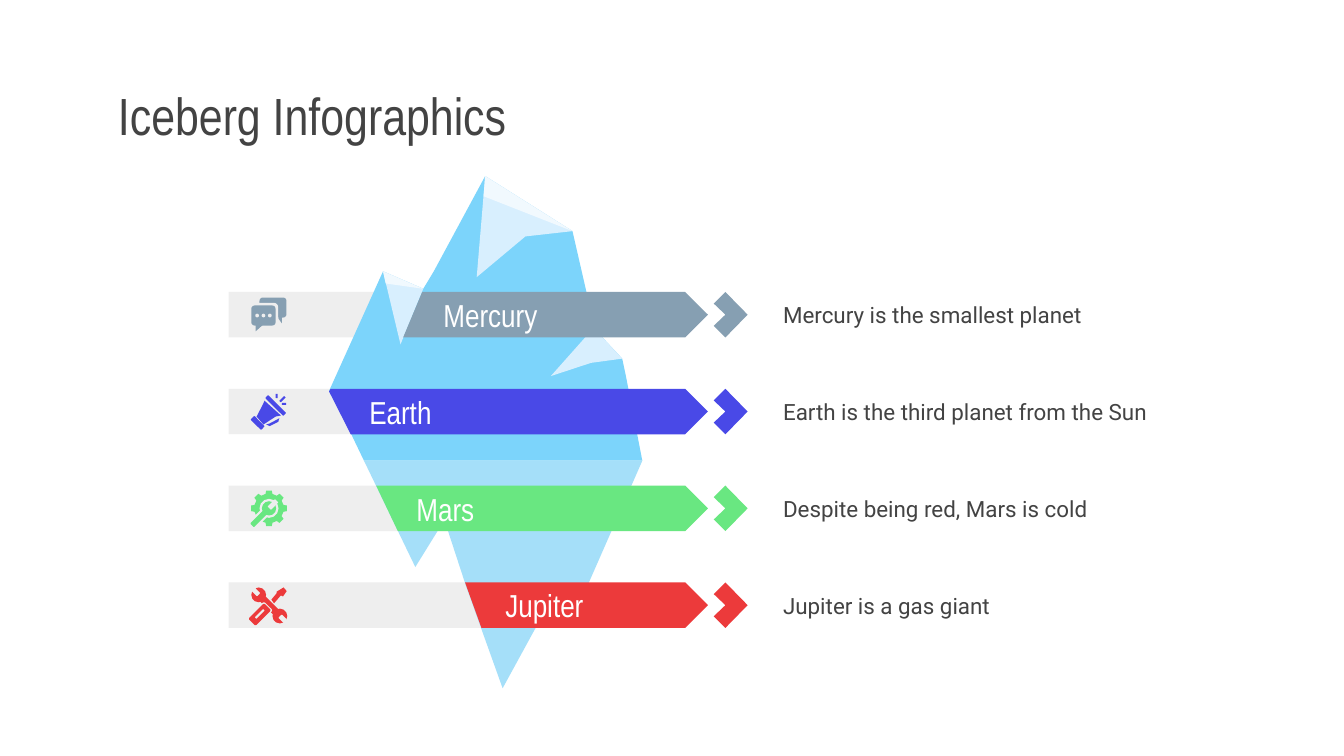
from math import cos, pi, sin

from pptx import Presentation
from pptx.dml.color import RGBColor
from pptx.enum.shapes import MSO_SHAPE
from pptx.enum.text import MSO_ANCHOR, MSO_AUTO_SIZE, PP_ALIGN
from pptx.util import Cm, Pt

RECT, ROUND, OVAL = MSO_SHAPE.RECTANGLE, MSO_SHAPE.ROUNDED_RECTANGLE, MSO_SHAPE.OVAL
LEFT, MIDDLE, NO_FIT = PP_ALIGN.LEFT, MSO_ANCHOR.MIDDLE, MSO_AUTO_SIZE.NONE
HEADING_FONT, BODY_FONT = "Arial Narrow", "Roboto"
DARK, WHITE, TRACK = "434343", "FFFFFF", "EEEEEE"
ROW_LEFT, ROW_TOP, ROW_STEP, ROW_HEIGHT = 4.32, 5.52, 1.83, 0.86
ICON_SIZE = 0.67


def color_of(value):
    return RGBColor.from_string(value)


def paint(shape, color):
    shape.fill.solid()
    shape.fill.fore_color.rgb = color_of(color)
    shape.line.fill.background()
    shape.shadow.inherit = False
    return shape


def outline(page, left, top, points, color):
    corners = [(Cm(left + x), Cm(top + y)) for x, y in points]
    builder = page.shapes.build_freeform(*corners[0])
    builder.add_line_segments(corners[1:], close=True)
    return paint(builder.convert_to_shape(), color)


def piece(page, kind, center_x, center_y, width, height, color, turn=0):
    shape = page.shapes.add_shape(kind, Cm(center_x - width / 2), Cm(center_y - height / 2),
                                  Cm(width), Cm(height))
    shape.rotation = turn
    return paint(shape, color)


def write(box, text, size, font=HEADING_FONT, color=DARK, indent=0.25):
    frame = box.text_frame
    frame.word_wrap = True
    frame.auto_size = NO_FIT
    frame.vertical_anchor = MIDDLE
    frame.margin_left = Cm(indent)
    frame.margin_top = frame.margin_right = frame.margin_bottom = Cm(0.25)
    para = frame.paragraphs[0]
    para.alignment = LEFT
    span = para.add_run()
    span.text = text
    span.font.size = Pt(size)
    span.font.name = font
    span.font.color.rgb = color_of(color)


def draw_chat(page, left, top, color):
    piece(page, ROUND, left + 0.41, top + 0.2, 0.51, 0.38, color)
    outline(page, left, top, [(0.5, 0.35), (0.5, 0.39), (0.58, 0.5), (0.58, 0.35)], color)
    piece(page, ROUND, left + 0.23, top + 0.35, 0.56, 0.48, TRACK)
    piece(page, ROUND, left + 0.23, top + 0.35, 0.46, 0.38, color)
    outline(page, left, top, [(0.08, 0.5), (0.08, 0.65), (0.25, 0.5)], color)
    for column in range(3):
        piece(page, OVAL, left + 0.11 + 0.12 * column, top + 0.35, 0.07, 0.07, TRACK)


def draw_megaphone(page, left, top, color):
    outline(page, left, top, [(0.25, 0.13), (0.22, 0.2), (0.1, 0.43), (0.23, 0.58),
                              (0.46, 0.43), (0.56, 0.41)], color)
    outline(page, left, top, [(0.53, 0.46), (0.5, 0.48), (0.35, 0.56), (0.28, 0.58),
                              (0.35, 0.61), (0.51, 0.53)], color)
    bars = [(0.46, 0.22, 0.48, 0.08, 45), (0.12, 0.55, 0.28, 0.1, 45),
            (0.48, 0.04, 0.04, 0.08, 0), (0.62, 0.19, 0.08, 0.04, 0),
            (0.59, 0.1, 0.13, 0.04, -45)]
    for x, y, length, depth, turn in bars:
        piece(page, ROUND, left + x, top + y, length, depth, color, turn)


def draw_gear(page, left, top, color):
    middle = ICON_SIZE / 2
    teeth = 8
    rim = []
    for tooth in range(teeth):
        for offset, radius in ((-0.3, 0.28), (-0.2, 0.34), (0.2, 0.34), (0.3, 0.28)):
            angle = 2 * pi * (tooth + offset) / teeth
            rim.append((middle + radius * cos(angle), middle + radius * sin(angle)))
    outline(page, left, top, rim, color)
    piece(page, OVAL, left + middle, top + middle, 0.36, 0.36, TRACK)
    piece(page, ROUND, left + 0.15, top + 0.52, 0.46, 0.18, TRACK, -45)
    piece(page, ROUND, left + 0.17, top + 0.5, 0.44, 0.1, color, -45)
    piece(page, OVAL, left + middle, top + middle, 0.27, 0.27, color)
    piece(page, ROUND, left + 0.41, top + 0.26, 0.2, 0.09, TRACK, -45)


def draw_tools(page, left, top, color):
    piece(page, RECT, left + 0.34, top + 0.34, 0.5, 0.14, color, 45)
    for joint, jaw in ((0.14, 0.06), (0.54, 0.62)):
        piece(page, OVAL, left + joint, top + joint, 0.28, 0.28, color)
        piece(page, ROUND, left + jaw, top + jaw, 0.22, 0.09, TRACK, 45)
    piece(page, ROUND, left + 0.16, top + 0.51, 0.46, 0.24, TRACK, -45)
    piece(page, ROUND, left + 0.16, top + 0.51, 0.42, 0.19, color, -45)
    piece(page, ROUND, left + 0.16, top + 0.5, 0.22, 0.04, TRACK, -45)
    outline(page, left, top, [(0.61, 0), (0.48, 0.08), (0.48, 0.11), (0.38, 0.23),
                              (0.43, 0.3), (0.56, 0.15), (0.6, 0.17), (0.67, 0.07)], color)


def draw_track(page, left, top, width, draw_icon, color):
    middle = top + ROW_HEIGHT / 2
    piece(page, RECT, left + width / 2, middle, width, ROW_HEIGHT, TRACK)
    draw_icon(page, left + 0.43, middle - ICON_SIZE / 2, color)


def draw_tag(page, left, top, edge, name, note, color):
    half = ROW_HEIGHT / 2
    chevron = [(0.22, 0), (0, 0.22), (0.22, half), (0, 0.64), (0.22, ROW_HEIGHT), (0.64, half)]
    outline(page, left + 9.17, top, chevron, color)
    arrow = edge + [(8.63, ROW_HEIGHT), (9.06, half), (8.63, 0)]
    write(outline(page, left, top, arrow, color), name, 17, color=WHITE, indent=0.76)
    box = page.shapes.add_textbox(Cm(left + 10.23), Cm(top - 0.08), Cm(7.8), Cm(1.02))
    write(box, note, 12, font=BODY_FONT)


def draw_iceberg(page, left, top):
    facets = [
        ("7CD4FB", [(2.95, 0), (1.98, 1.8), (1.78, 2.13), (1.02, 1.8), (0, 4.06), (0.43, 4.9),
                    (0.66, 5.38), (5.92, 5.38), (5.61, 3.78), (5.54, 3.45), (5, 2.87),
                    (4.88, 2.26), (4.6, 1.04)]),
        ("D8EFFE", [(2.95, 0), (2.79, 1.91), (3.71, 1.14), (4.6, 1.04)]),
        ("D8EFFE", [(5, 2.87), (4.19, 3.78), (4.95, 3.53), (5.54, 3.45)]),
        ("D8EFFE", [(1.02, 1.8), (1.35, 3.18), (1.78, 2.13)]),
        ("A5DFF9", [(0.66, 5.38), (1.63, 7.39), (2.18, 6.5), (2.59, 7.75), (3.28, 9.68),
                    (4.09, 8.2), (4.24, 7.9), (4.88, 7.75), (5.92, 5.38)]),
        ("F1F9FE", [(2.95, 0), (2.92, 0.38), (4.6, 1.04)]),
        ("F1F9FE", [(1.02, 1.8), (1.07, 2.03), (1.78, 2.13)]),
    ]
    for color, points in facets:
        outline(page, left, top, points, color)


def place_title(page, text, left, top, width, height):
    title = page.shapes.title
    title.left, title.top, title.width, title.height = Cm(left), Cm(top), Cm(width), Cm(height)
    write(title, text, 28)


def main():
    deck = Presentation()
    deck.slide_width, deck.slide_height = Cm(25.4), Cm(14.29)
    page = deck.slides.add_slide(deck.slide_layouts[5])
    place_title(page, "Iceberg Infographics", 1.98, 1.5, 21.46, 1.35)
    rows = [
        ("Mercury", "Mercury is the smallest planet", "869FB2", draw_chat, 4.22,
         [(3.66, 0), (3.3, ROW_HEIGHT)]),
        ("Earth", "Earth is the third planet from the Sun", "4949E7", draw_megaphone, 4.22,
         [(1.93, 0), (1.9, 0.05), (2.31, ROW_HEIGHT)]),
        ("Mars", "Despite being red, Mars is cold", "69E781", draw_gear, 4.22,
         [(2.79, 0), (3.2, ROW_HEIGHT)]),
        ("Jupiter", "Jupiter is a gas giant", "EC3A3B", draw_tools, 5.26,
         [(4.47, 0), (4.78, ROW_HEIGHT)]),
    ]
    tops = [ROW_TOP + ROW_STEP * number for number in range(len(rows))]
    for top, (_, _, color, draw_icon, width, _) in zip(tops, rows):
        draw_track(page, ROW_LEFT, top, width, draw_icon, color)
    draw_iceberg(page, 6.22, 3.33)
    for top, (name, note, color, _, _, edge) in zip(tops, rows):
        draw_tag(page, ROW_LEFT, top, edge, name, note, color)
    deck.save("out.pptx")


if __name__ == "__main__":
    main()
